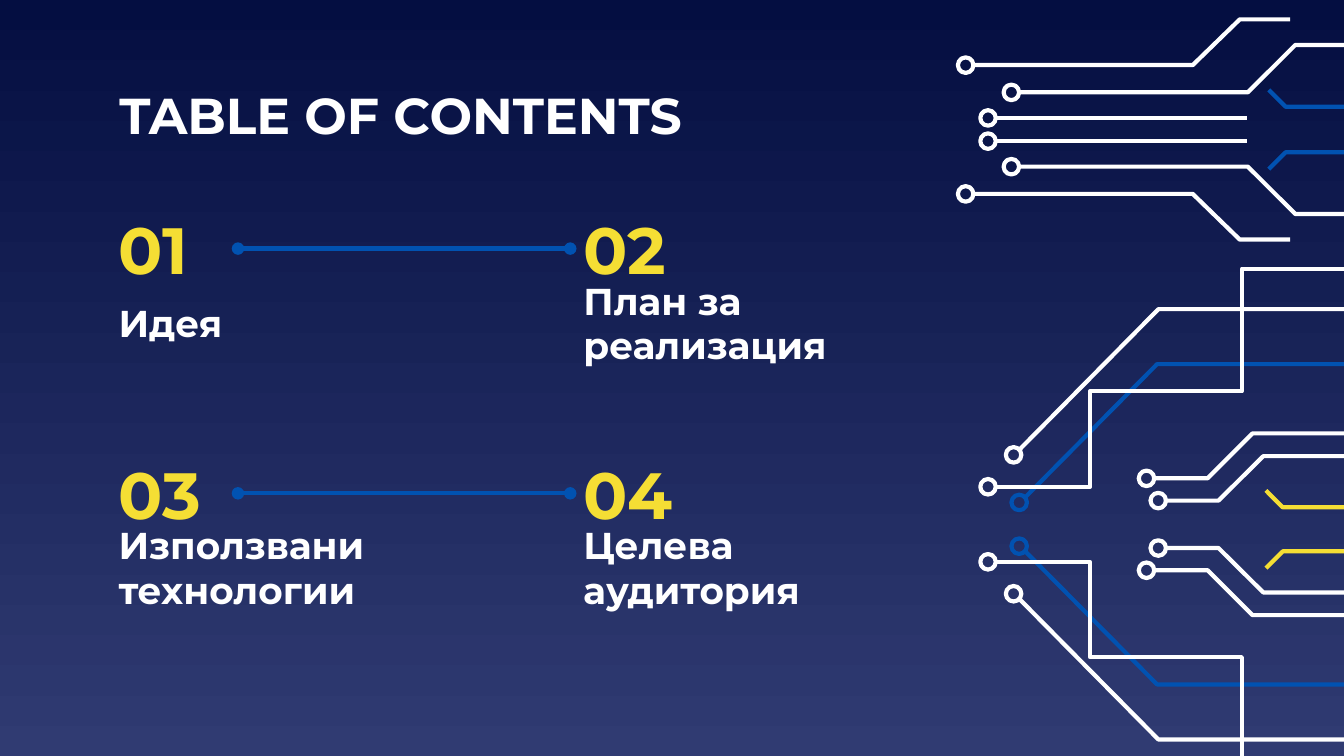
from dataclasses import dataclass
from itertools import product
from lxml.etree import SubElement
from pptx import Presentation
from pptx.dml.color import RGBColor
from pptx.enum.shapes import MSO_CONNECTOR, MSO_SHAPE
from pptx.enum.text import MSO_ANCHOR
from pptx.oxml.ns import qn
from pptx.util import Pt


@dataclass(frozen=True)
class Theme:
    font: str = "Montserrat"
    white: RGBColor = RGBColor(0xFF, 0xFF, 0xFF)
    yellow: RGBColor = RGBColor(0xF5, 0xDE, 0x34)
    blue: RGBColor = RGBColor(0x01, 0x52, 0xB1)
    bg_top: RGBColor = RGBColor(0x04, 0x0E, 0x41)
    bg_bottom: RGBColor = RGBColor(0x30, 0x3B, 0x72)
    title: int = 27
    number: int = 35
    label: int = 20
    line: float = 2.25


T = Theme()
RING = 8.3

prs = Presentation()
prs.slide_width, prs.slide_height = Pt(720), Pt(405)
s = prs.slides.add_slide(prs.slide_layouts[6])

bg = s.background.fill
bg.gradient()
bg.gradient_angle = 270
for stop, color, position in zip(bg.gradient_stops, (T.bg_top, T.bg_bottom), (0, 1)):
    stop.color.rgb = color
    stop.position = position


def add_text(text, x, y, w, h, size, color):
    tf = s.shapes.add_textbox(Pt(x), Pt(y), Pt(w), Pt(h)).text_frame
    tf.word_wrap = True
    tf.vertical_anchor = MSO_ANCHOR.MIDDLE
    tf.margin_left = tf.margin_right = tf.margin_top = tf.margin_bottom = Pt(7.2)
    p = tf.paragraphs[0]
    p.text = text
    p.font.name, p.font.size, p.font.bold = T.font, Pt(size), True
    p.font.color.rgb = color


def style_outline(sp, color):
    sp.fill.background()
    sp.line.color.rgb = color
    sp.line.width = Pt(T.line)
    sp.shadow.inherit = False


upper, lower, arrows = 138.8, 561.8, 567.2
traces = [
    (lower, T.white, (620.5, 268.2), [(623.5, 268.2), (652.8, 268.2), (676.8, 244.4), (734.4, 244.4)]),
    (lower, T.white, (614.2, 256.3), [(617.8, 256.3), (646.9, 256.3), (671, 232.2), (734.4, 232.2)]),
    (arrows, T.yellow, None, [(678.2, 262.8), (687.2, 271.8), (728, 271.8)]),
    (upper, T.blue, None, [(679.7, 48.2), (688.7, 57.2), (729.4, 57.2)]),
    (lower, T.blue, (546, 269.2), [(548.6, 267.1), (619.9, 195.1), (733.7, 195.1)]),
    (lower, T.white, (529.3, 260.8),
     [(533.5, 260.8), (583.9, 260.8), (583.9, 209.7), (665.3, 209.7), (665.3, 144), (734.4, 144)]),
    (lower, T.white, (543, 243.7), [(545.8, 241.2), (620.6, 165.6), (734.4, 165.6)]),
    (upper, T.white, (517.3, 34.9), [(521.3, 34.9), (639, 34.9), (664.2, 10.4), (691.2, 10.4)]),
    (upper, T.white, (541.8, 49.5), [(545.8, 49.5), (668.5, 49.5), (694, 24.1), (738, 24.1)]),
    (upper, T.white, (529.3, 63.2), [(533.5, 63.2), (668.2, 63.2)]),
]

for (mirror, color, ring, points), flipped in product(traces, (False, True)):
    path = [(Pt(x), Pt(mirror - y if flipped else y)) for x, y in points]
    builder = s.shapes.build_freeform(*path[0], scale=1.0)
    builder.add_line_segments(path[1:], close=False)
    style_outline(builder.convert_to_shape(), color)
    if ring:
        x, y = ring
        y = mirror - y if flipped else y
        sp = s.shapes.add_shape(
            MSO_SHAPE.OVAL, Pt(x - RING / 2), Pt(y - RING / 2), Pt(RING), Pt(RING))
        style_outline(sp, color)

add_text("TABLE OF CONTENTS", 56.9, 42.5, 422.6, 37.4, T.title, T.white)

columns, rows = (56.4, 305.5), (112.3, 243.4)
labels = ["Идея", "План за реализация", "Използвани технологии", "Целева аудитория"]
for i, ((y, x), label) in enumerate(zip(product(rows, columns), labels), 1):
    add_text(label, x, y + 41.8, 173.5, 37.4, T.label, T.white)
    add_text(f"{i:02d}", x, y, 71.3, 41.8, T.number, T.yellow)

for y in rows:
    link = s.shapes.add_connector(
        MSO_CONNECTOR.STRAIGHT, Pt(127.5), Pt(y + 20.9), Pt(305.5), Pt(y + 20.9))
    link.line.color.rgb = T.blue
    link.line.width = Pt(T.line)
    ln = link.line._get_or_add_ln()
    for end in ("a:headEnd", "a:tailEnd"):
        SubElement(ln, qn(end), type="oval")
    SubElement(link._element.spPr, qn("a:effectLst"))

prs.save("out.pptx")
